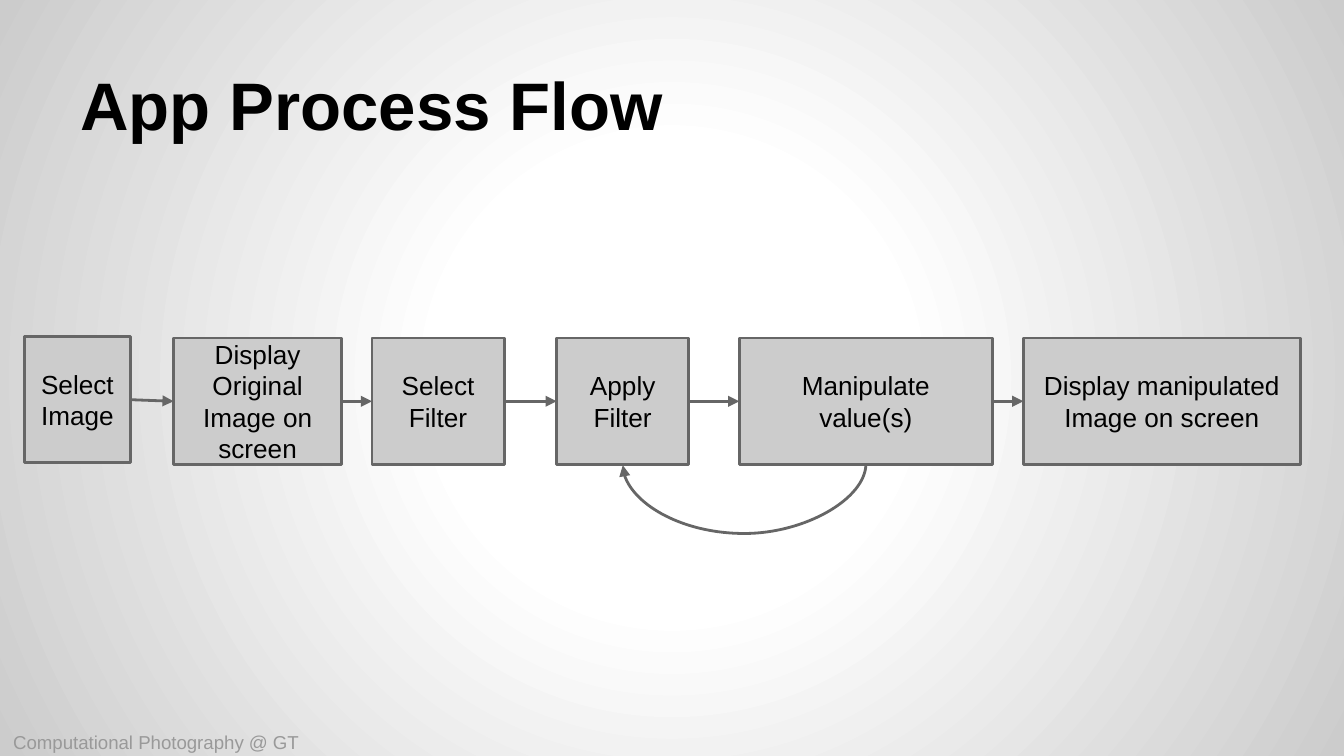
"""Builds the app process flow slide."""
from dataclasses import dataclass
from itertools import pairwise

from lxml import etree
from pptx import Presentation, util as u
from pptx.dml.color import RGBColor
from pptx.enum import shapes, text
from pptx.oxml import parse_xml
from pptx.oxml.ns import nsdecls, qn

COLORS = {"ink": "000000", "box": "CCCCCC", "line": "666666",
          "footer": "999999", "centre": "FFFFFF", "edge": "CCCCCC"}
FONT = "Arial"
BOX_H = 2.39
BOTTOM, LEFT, RIGHT = 2, 1, 3


@dataclass
class Step:
    label: str
    left: float
    width: float
    top: float = 6.39


STEPS = [
    Step("Select Image", 0.46, 2.01, 6.36),
    Step("Display Original Image on screen", 3.28, 3.18),
    Step("Select Filter", 7.03, 2.5),
    Step("Apply Filter", 10.52, 2.5),
    Step("Manipulate value(s)", 13.97, 4.79),
    Step("Display manipulated Image on screen", 19.34, 5.24),
]


def rgb(name: str) -> RGBColor:
    return RGBColor.from_string(COLORS[name])


def write(sp, label: str, size: int, color: str, anchor, align, bold: bool = False) -> None:
    tf = sp.text_frame
    tf.word_wrap = True
    tf.vertical_anchor = anchor
    tf.margin_left = tf.margin_right = tf.margin_top = tf.margin_bottom = u.Cm(0.25)
    p = tf.paragraphs[0]
    p.alignment = align
    r = p.add_run()
    r.text = label
    r.font.name, r.font.size, r.font.bold = FONT, u.Pt(size), bold
    r.font.color.rgb = rgb(color)


def add_label(s, label: str, box: tuple, size: int, color: str, anchor, bold: bool = False) -> None:
    sp = s.shapes.add_textbox(*map(u.Cm, box))
    write(sp, label, size, color, anchor, text.PP_ALIGN.LEFT, bold)


def add_step(s, step: Step):
    sp = s.shapes.add_shape(shapes.MSO_SHAPE.RECTANGLE, u.Cm(step.left), u.Cm(step.top),
                            u.Cm(step.width), u.Cm(BOX_H))
    sp.shadow.inherit = False
    sp.fill.solid()
    sp.fill.fore_color.rgb = rgb("box")
    sp.line.color.rgb = rgb("line")
    sp.line.width = u.Pt(1.5)
    write(sp, step.label, 14, "ink", text.MSO_ANCHOR.MIDDLE, text.PP_ALIGN.CENTER)
    return sp


def add_arrow(s, kind, start, start_site: int, end, end_site: int):
    cxn = s.shapes.add_connector(kind, 0, 0, 0, 0)
    cxn.begin_connect(start, start_site)
    cxn.end_connect(end, end_site)
    cxn.line.color.rgb = rgb("line")
    cxn.line.width = u.Pt(1.5)
    etree.SubElement(cxn.line._get_or_add_ln(), qn("a:tailEnd"), type="triangle", w="med", len="med")
    etree.SubElement(cxn._element.spPr, qn("a:effectLst"))
    return cxn


def add_loop(s, start, end, depth: float) -> None:
    cxn = add_arrow(s, shapes.MSO_CONNECTOR.CURVE, start, BOTTOM, end, BOTTOM)
    x1, x2 = (sp.left + sp.width // 2 for sp in (start, end))
    y = start.top + start.height
    thin, span = u.Cm(0.03), x1 - x2
    spPr = cxn._element.spPr
    xfrm = spPr.find(qn("a:xfrm"))
    for flip in ("flipH", "flipV"):
        xfrm.attrib.pop(flip, None)
    xfrm.set("rot", "5400000")
    cxn.left, cxn.top = (x1 + x2 - thin) // 2, y - span // 2
    cxn.width, cxn.height = thin, span
    geom = spPr.find(qn("a:prstGeom"))
    guides = geom.find(qn("a:avLst"))
    if guides is None:
        guides = etree.SubElement(geom, qn("a:avLst"))
    ratio = round(u.Cm(depth) / thin * 100000)
    etree.SubElement(guides, qn("a:gd"), name="adj1", fmla=f"val {ratio}")


def set_background(s) -> None:
    s.background.fill.gradient()
    old = s._element.find(".//" + qn("a:gradFill"))
    stops = "".join(f'<a:gs pos="{pos}000"><a:srgbClr val="{COLORS[name]}"/></a:gs>'
                    for pos, name in ((0, "centre"), (30, "centre"), (100, "edge")))
    old.getparent().replace(old, parse_xml(
        f'<a:gradFill {nsdecls("a")}><a:gsLst>{stops}</a:gsLst><a:path path="circle">'
        '<a:fillToRect l="50000" t="50000" r="50000" b="50000"/></a:path></a:gradFill>'))


def main() -> None:
    prs = Presentation()
    prs.slide_width, prs.slide_height = u.Cm(25.4), u.Cm(14.29)
    s = prs.slides.add_slide(prs.slide_layouts[6])
    set_background(s)
    add_label(s, "App Process Flow", (1.27, 0.58, 22.86, 2.39), 36, "ink",
              text.MSO_ANCHOR.BOTTOM, bold=True)
    add_label(s, "Computational Photography @ GT", (0, 13.74, 7.14, 0.56), 10, "footer",
              text.MSO_ANCHOR.MIDDLE)
    boxes = [add_step(s, step) for step in STEPS]
    for start, end in pairwise(boxes):
        add_arrow(s, shapes.MSO_CONNECTOR.STRAIGHT, start, RIGHT, end, LEFT)
    add_loop(s, boxes[4], boxes[3], 1.32)
    prs.save("out.pptx")


if __name__ == "__main__":
    main()
